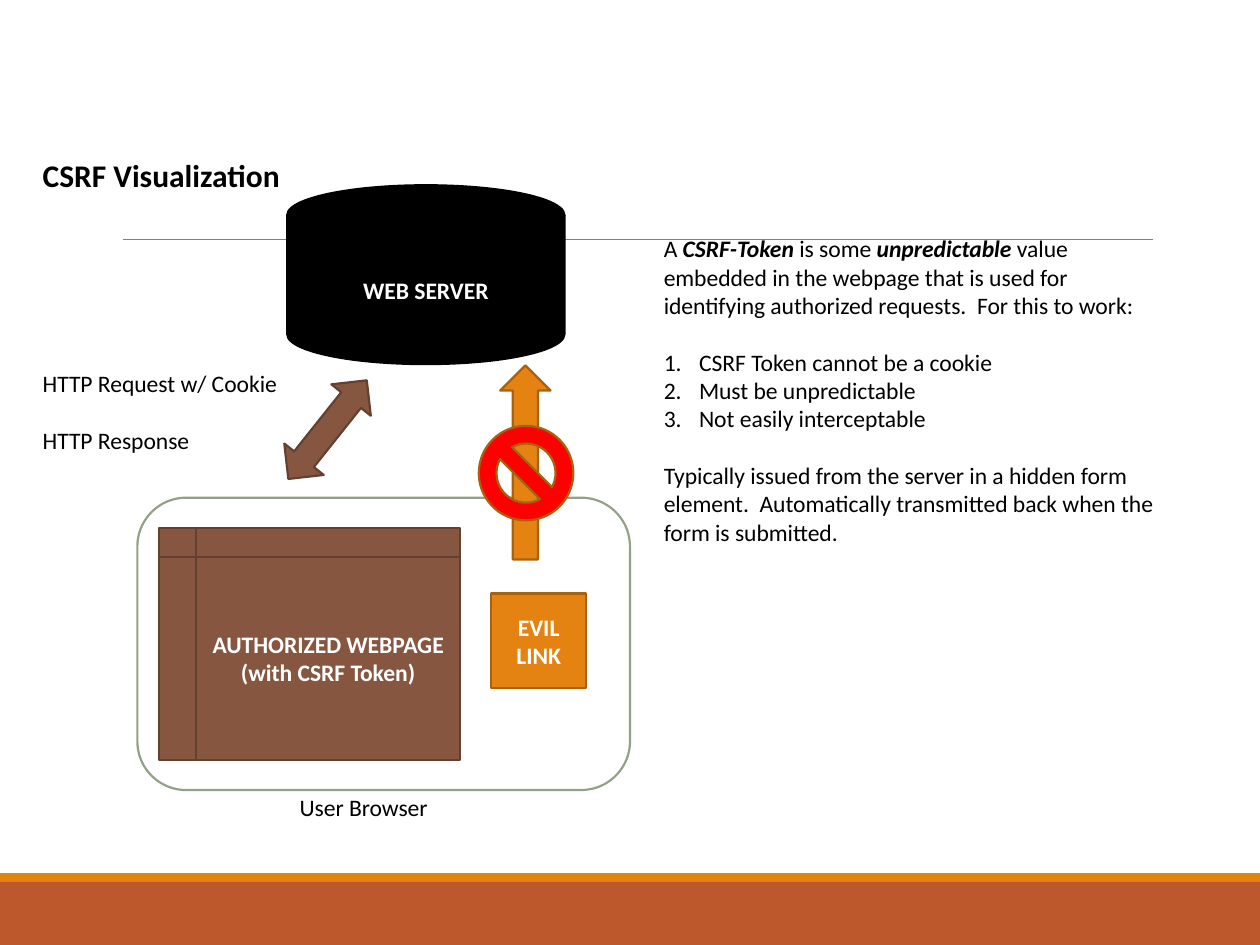
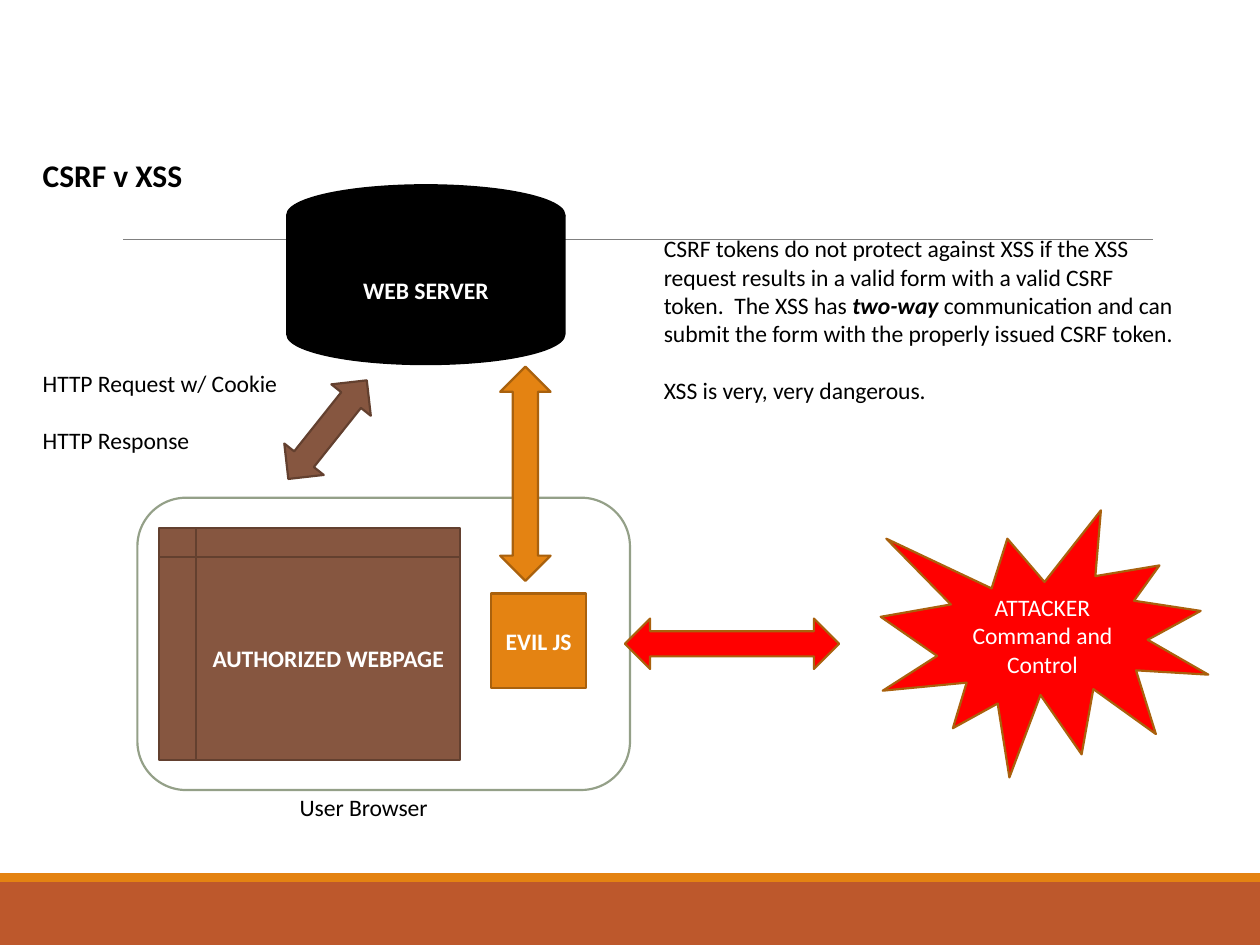
from dataclasses import dataclass

from lxml.etree import SubElement
from pptx import Presentation
from pptx.dml.color import RGBColor
from pptx.enum.shapes import MSO_CONNECTOR, MSO_SHAPE as Shape
from pptx.enum.text import MSO_ANCHOR, MSO_AUTO_SIZE, PP_ALIGN
from pptx.oxml.ns import qn
from pptx.util import Inches, Pt


@dataclass(frozen=True)
class Theme:
    font: str = "Calibri"
    title_size: float = 18
    text_size: float = 13.5
    line_gap: float = 16.25
    outline: float = 1.25
    rule_width: float = 0.5
    white: str = "FFFFFF"
    black: str = "000000"
    red: str = "FF0000"
    rust: str = "BD582C"
    orange: str = "E48312"
    orange_edge: str = "A9610D"
    brown: str = "865640"
    brown_edge: str = "63402F"
    sage: str = "94A088"
    gray: str = "808080"


THEME = Theme()
ORANGE = (THEME.orange, THEME.orange_edge)
BROWN = (THEME.brown, THEME.brown_edge)
RED = (THEME.red, THEME.orange_edge)
BLACK = (THEME.black, THEME.black)


@dataclass(frozen=True)
class Box:
    left: float
    top: float
    width: float
    height: float

    def inside(self, left, top, width, height):
        """Return a box whose corner is measured from this one."""
        return Box(self.left + left, self.top + top, width, height)

    def lengths(self):
        return [Inches(value) for value in
                (self.left, self.top, self.width, self.height)]


PAGE = Box(0, 0, 10, 7.5)
TITLE = Box(0.24, 1.19, 2.1, 0.4)
DIAGRAM = Box(0.24, 1.47, 4.76, 5.1)
EXPLANATION = Box(5.17, 1.81, 4.24, 2.6)
ATTACKER = Box(4.96, 4.05, 4.63, 2.12)


def style_font(font, color, size=THEME.text_size, bold=False, italic=False):
    font.name = THEME.font
    font.size = Pt(size)
    font.bold = bold
    font.italic = italic
    font.color.rgb = RGBColor.from_string(color)


def add_figure(slide, kind, box, colors, lines=(), bold=True, rotation=0):
    """Add a preset shape; colors holds its fill and its edge, or None."""
    fill, edge = colors
    shape = slide.shapes.add_shape(kind, *box.lengths())
    shape.shadow.inherit = False
    shape.rotation = rotation
    shape.fill.solid()
    shape.fill.fore_color.rgb = RGBColor.from_string(fill)
    if edge:
        shape.line.color.rgb = RGBColor.from_string(edge)
        shape.line.width = Pt(THEME.outline)
    else:
        shape.line.fill.background()
    if lines:
        frame = shape.text_frame
        frame.text = "\n".join(lines)
        frame.vertical_anchor = MSO_ANCHOR.MIDDLE
        for para in frame.paragraphs:
            para.alignment = PP_ALIGN.CENTER
            for span in para.runs:
                style_font(span.font, THEME.white, bold=bold)


def add_text(slide, box, text, size=THEME.text_size, bold=False, wrap=False):
    text_box = slide.shapes.add_textbox(*box.lengths())
    frame = text_box.text_frame
    frame.word_wrap = wrap
    frame.auto_size = MSO_AUTO_SIZE.SHAPE_TO_FIT_TEXT
    frame.text = text
    for para in frame.paragraphs:
        for span in para.runs:
            style_font(span.font, THEME.black, size, bold)
    return frame


def number_paragraph(para):
    properties = para._p.get_or_add_pPr()
    properties.set("marL", str(Inches(0.28)))
    properties.set("indent", str(-Inches(0.28)))
    SubElement(properties, qn("a:buFont")).set("typeface", "+mj-lt")
    SubElement(properties, qn("a:buAutoNum")).set("type", "arabicPeriod")


def add_explanation(slide, box, blocks):
    """Write blocks a line apart; a tuple is a numbered list, *...* is stressed."""
    frame = add_text(slide, box, "", wrap=True)
    para = frame.paragraphs[0]
    for block_index, block in enumerate(blocks):
        numbered = isinstance(block, tuple)
        for line_index, line in enumerate(block if numbered else [block]):
            if block_index or line_index:
                para = frame.add_paragraph()
            if block_index and not line_index:
                para.space_before = Pt(THEME.line_gap)
            if numbered:
                number_paragraph(para)
            for piece_index, piece in enumerate(line.split("*")):
                stressed = piece_index % 2 == 1
                span = para.add_run()
                span.text = piece
                style_font(span.font, THEME.black, bold=stressed, italic=stressed)


def add_page_bands(slide, box):
    add_figure(slide, Shape.RECTANGLE, box.inside(0, 7, box.width, 0.5),
               (THEME.rust, None))
    add_figure(slide, Shape.RECTANGLE, box.inside(0, 6.93, box.width, 0.07),
               (THEME.orange, None))
    rule = slide.shapes.add_connector(
        MSO_CONNECTOR.STRAIGHT,
        *[Inches(value) for value in (box.left + 0.98, box.top + 1.9,
                                      box.left + 9.15, box.top + 1.9)])
    rule.line.color.rgb = RGBColor.from_string(THEME.gray)
    rule.line.width = Pt(THEME.rule_width)
    SubElement(rule._element.spPr, qn("a:effectLst"))


def add_browser(slide, box, webpage_lines, evil_label):
    add_figure(slide, Shape.ROUNDED_RECTANGLE, box, (THEME.white, THEME.sage))
    add_figure(slide, Shape.RECTANGLE, box.inside(2.81, 0.76, 0.75, 0.75),
               ORANGE, [evil_label])
    add_figure(slide, Shape.FLOWCHART_INTERNAL_STORAGE,
               box.inside(0.17, 0.24, 2.39, 1.84), BROWN, webpage_lines)


def add_diagram(slide, box, webpage_lines, evil_label):
    add_browser(slide, box.inside(0.85, 2.48, 3.91, 2.32),
                webpage_lines, evil_label)
    add_figure(slide, Shape.FLOWCHART_MAGNETIC_DISK,
               box.inside(2.04, 0, 2.2, 1.42), BLACK, ["WEB SERVER"])
    add_figure(slide, Shape.LEFT_RIGHT_ARROW,
               box.inside(1.86, 1.74, 1, 0.4), BROWN, rotation=308.5)
    traffic = add_text(slide, box.inside(0, 1.41, 2.09, 0.78),
                       "HTTP Request w/ Cookie\nHTTP Response")
    traffic.paragraphs[1].space_before = Pt(THEME.line_gap)
    add_text(slide, box.inside(2.04, 4.77, 1.23, 0.33), "User Browser")


def add_blocked_request(slide, box):
    add_figure(slide, Shape.UP_ARROW, box.inside(3.73, 1.43, 0.4, 1.54), ORANGE)
    add_figure(slide, Shape.NO_SYMBOL, box.inside(3.56, 1.91, 0.75, 0.75), RED)


def add_two_way_request(slide, box):
    add_figure(slide, Shape.LEFT_RIGHT_ARROW, box.inside(3.08, 2.09, 1.7, 0.4),
               ORANGE, rotation=270)


def add_attacker(slide, box):
    add_figure(slide, Shape.EXPLOSION1, box.inside(2.03, 0, 2.6, 2.12), RED,
               ["ATTACKER", "Command and Control"], bold=False)
    add_figure(slide, Shape.LEFT_RIGHT_ARROW, box.inside(0, 0.86, 1.7, 0.4), RED)


def add_page(deck, title, webpage_lines, evil_label, explanation):
    slide = deck.slides.add_slide(deck.slide_layouts[6])
    add_page_bands(slide, PAGE)
    add_diagram(slide, DIAGRAM, webpage_lines, evil_label)
    add_explanation(slide, EXPLANATION, explanation)
    add_text(slide, TITLE, title, THEME.title_size, bold=True)
    return slide


def main():
    deck = Presentation()
    deck.slide_width = Inches(PAGE.width)
    deck.slide_height = Inches(PAGE.height)

    token_page = add_page(
        deck, "CSRF Visualization",
        ["AUTHORIZED WEBPAGE", "(with CSRF Token)"], "EVIL LINK",
        ["A *CSRF-Token* is some *unpredictable* value embedded in the webpage "
         "that is used for identifying authorized requests.  For this to work:",
         ("CSRF Token cannot be a cookie",
          "Must be unpredictable",
          "Not easily interceptable"),
         "Typically issued from the server in a hidden form element.  "
         "Automatically transmitted back when the form is submitted."])
    add_blocked_request(token_page, DIAGRAM)

    script_page = add_page(
        deck, "CSRF v XSS", ["AUTHORIZED WEBPAGE"], "EVIL JS",
        ["CSRF tokens do not protect against XSS if the XSS request results in "
         "a valid form with a valid CSRF token.  The XSS has *two-way* "
         "communication and can submit the form with the properly issued "
         "CSRF token.",
         "XSS is very, very dangerous."])
    add_two_way_request(script_page, DIAGRAM)
    add_attacker(script_page, ATTACKER)

    deck.save("out.pptx")


if __name__ == "__main__":
    main()
